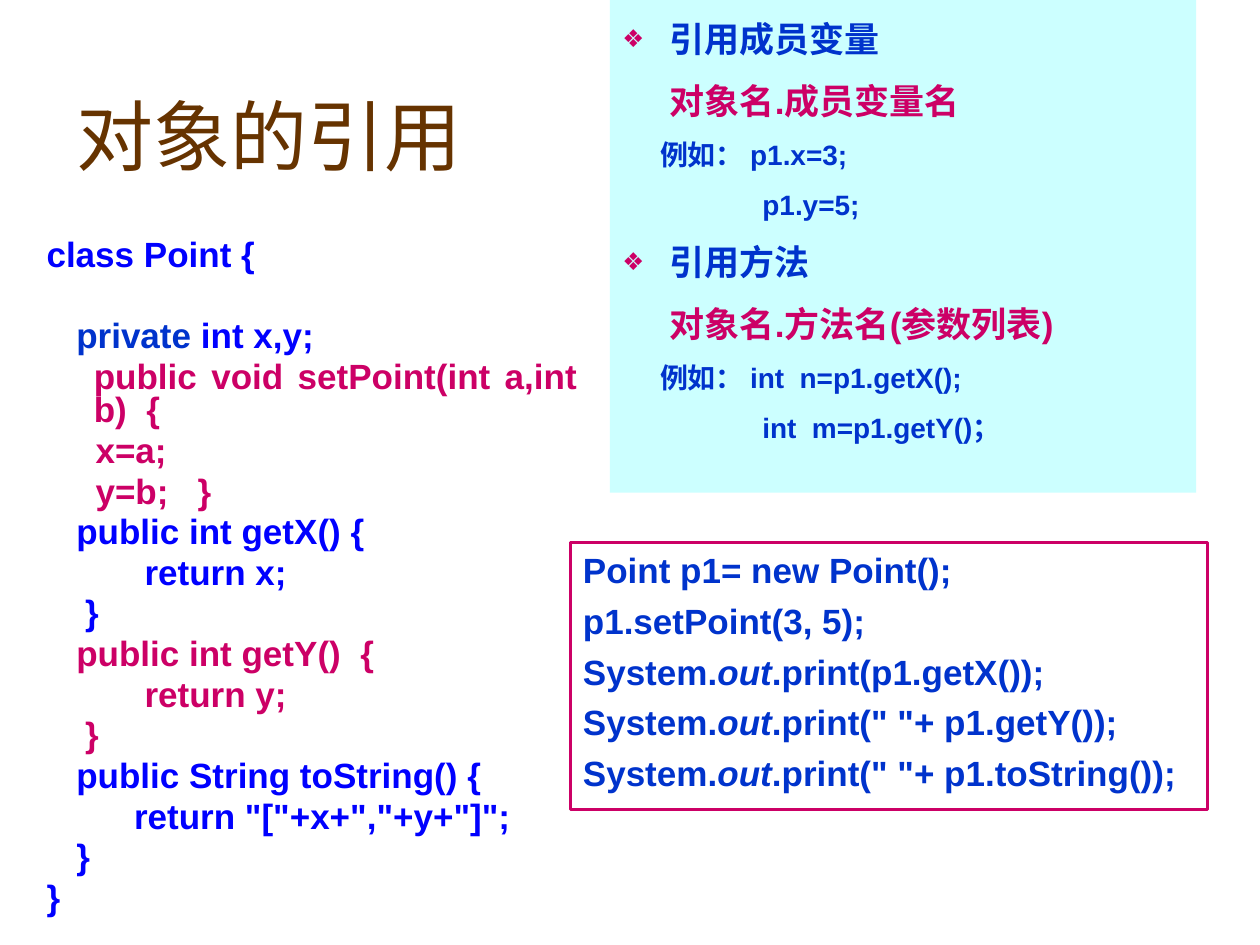
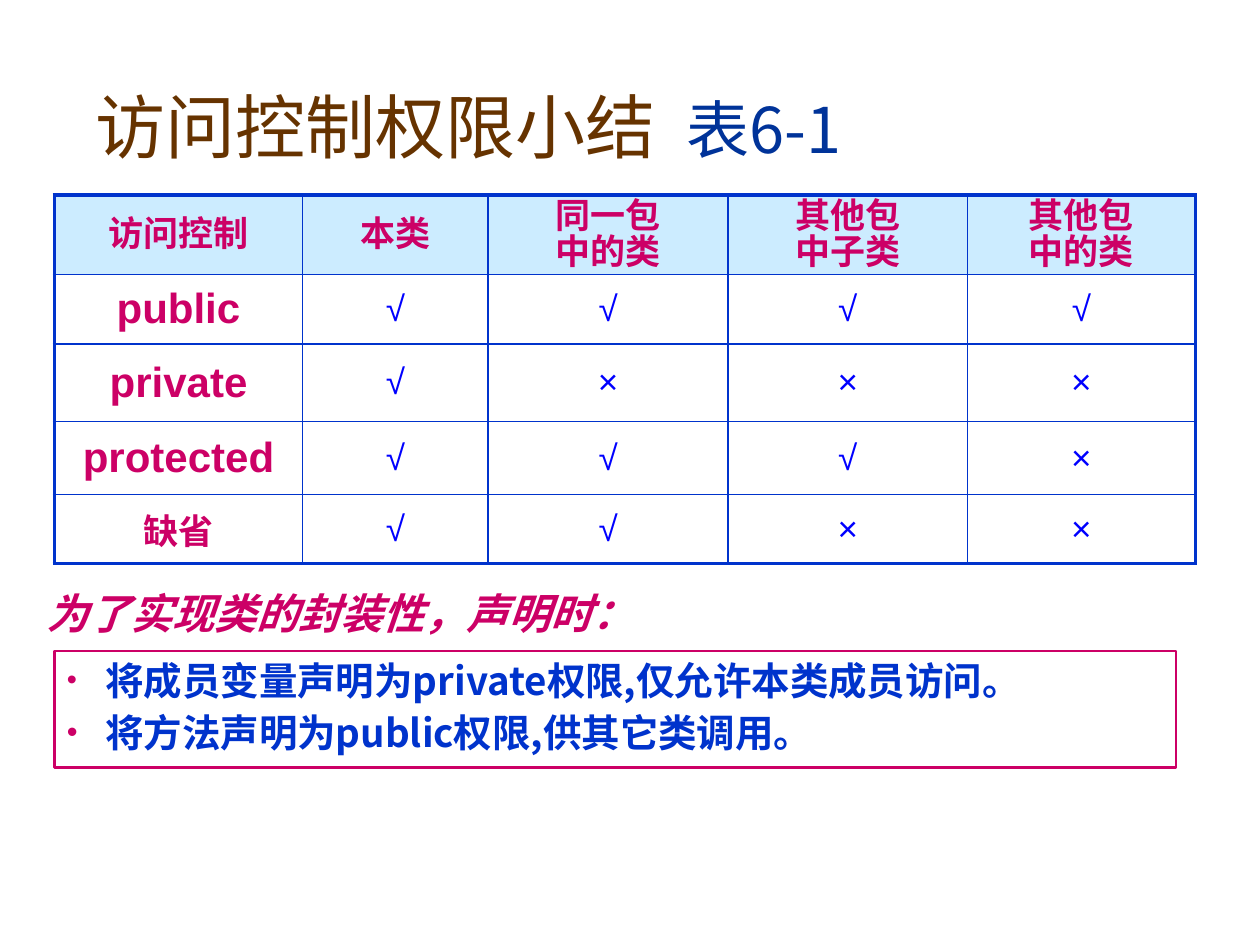
from lxml import etree
from pptx import Presentation
from pptx.dml.color import RGBColor
from pptx.enum import shapes, text
from pptx.oxml import ns
from pptx.util import Pt

# Shared style
LATIN, CHINESE = "Arial", "Noto Sans CJK SC"
BROWN, NAVY, BLUE, CODE_BLUE = "663300", "003399", "0033CC", "0000FF"
CRIMSON, CYAN, PALE_BLUE, WHITE = "CC0066", "CCFFFF", "CCECFF", "FFFFFF"
LEFT, CENTER, JUSTIFY = (text.PP_ALIGN.LEFT, text.PP_ALIGN.CENTER,
                         text.PP_ALIGN.JUSTIFY)


def color(hex_string):
    return RGBColor.from_string(hex_string)


def add_element(parent, tag, **attributes):
    return etree.SubElement(parent, ns.qn(tag), attributes)


class Deck:
    def __init__(self):
        self.presentation = Presentation()
        self.presentation.slide_width = Pt(720)
        self.presentation.slide_height = Pt(540)
        self.slide = None

    def new_slide(self):
        layout = self.presentation.slide_layouts[1]
        self.slide = self.presentation.slides.add_slide(layout)

    def place(self, shape, box):
        shape.left, shape.top, shape.width, shape.height = map(Pt, box)

    def paint(self, shape, fill=None, line=None):
        if fill:
            shape.fill.solid()
            shape.fill.fore_color.rgb = color(fill)
        else:
            shape.fill.background()
        if line:
            shape.line.color.rgb = color(line)
            shape.line.width = Pt(1.5)
        else:
            shape.line.fill.background()

    def frame(self, shape, anchor=text.MSO_ANCHOR.TOP):
        text_frame = shape.text_frame
        text_frame.word_wrap = True
        text_frame.auto_size = text.MSO_AUTO_SIZE.NONE
        text_frame.vertical_anchor = anchor
        return text_frame

    def paragraph(self, text_frame, runs, size, first=False, font=LATIN, bold=True,
                  align=LEFT, spacing=1.0, before=0, indent=0, bullet=None):
        """Runs are (text, colour[, options]); bullet is (character, percent)."""
        paragraph = text_frame.paragraphs[0] if first else text_frame.add_paragraph()
        paragraph.alignment = align
        paragraph.line_spacing = spacing
        paragraph.space_before = Pt(before)
        properties = paragraph._p.get_or_add_pPr()
        properties.set("marL", str(Pt(indent)))
        properties.set("indent", str(Pt(-indent if bullet else 0)))
        if bullet:
            character, percent = bullet
            bullet_color = add_element(properties, "a:buClr")
            add_element(bullet_color, "a:srgbClr", val=CRIMSON)
            add_element(properties, "a:buSzPct", val=str(percent * 1000))
            add_element(properties, "a:buFont", typeface=LATIN)
            add_element(properties, "a:buChar", char=character)
        else:
            add_element(properties, "a:buNone")
        for words, run_color, *options in runs:
            run = paragraph.add_run()
            run.text = words
            run.font.name = font
            run.font.size = Pt(size)
            run.font.bold = bold
            run.font.color.rgb = color(run_color)
            for option in options:
                for name, value in option.items():
                    setattr(run.font, name, value)

    def title(self, box, runs, size, font):
        shape = self.slide.shapes.title
        self.place(shape, box)
        text_frame = self.frame(shape, text.MSO_ANCHOR.MIDDLE)
        self.paragraph(text_frame, runs, size, True, font, bold=False)

    def body(self, box, fill=None, line=None):
        shape = self.slide.placeholders[1]
        self.place(shape, box)
        self.paint(shape, fill, line)
        return self.frame(shape)

    def panel(self, box, fill=None, line=None):
        shape = self.slide.shapes.add_shape(
            shapes.MSO_SHAPE.RECTANGLE, *map(Pt, box))
        shape.shadow.inherit = False
        self.paint(shape, fill, line)
        return self.frame(shape)

    def label(self, box):
        return self.frame(self.slide.shapes.add_textbox(*map(Pt, box)))

    def table(self, box, widths, heights):
        table = self.slide.shapes.add_table(
            len(heights), len(widths), *map(Pt, box)).table
        for column, width in zip(table.columns, widths):
            column.width = Pt(width)
        for row, height in zip(table.rows, heights):
            row.height = Pt(height)
        return table

    def style_cell(self, cell, fill, outer_edges):
        properties = cell._tc.get_or_add_tcPr()
        for edge in "LRTB":
            width = 2.25 if edge in outer_edges else 1
            line = add_element(properties, f"a:ln{edge}", w=str(Pt(width)))
            add_element(add_element(line, "a:solidFill"), "a:srgbClr", val=BLUE)
        cell.fill.solid()
        cell.fill.fore_color.rgb = color(fill)
        cell.vertical_anchor = text.MSO_ANCHOR.MIDDLE


def build_object_reference(deck):
    deck.new_slide()
    deck.title((36.5, 54.5, 266.5, 45), [("对象的引用", BROWN)], 44, LATIN)

    # Member access rules: (text, colour, size, indent, bullet)
    diamond = ("❖", 70)
    rules = [
        ("引用成员变量", BLUE, 20, 27, diamond),
        ("对象名.成员变量名", CRIMSON, 20, 27, None),
        ("例如： p1.x=3;", BLUE, 16, 21.5, None),
        ("p1.y=5;", BLUE, 16, 80, None),
        ("引用方法", BLUE, 20, 27, diamond),
        ("对象名.方法名(参数列表)", CRIMSON, 20, 27, None),
        ("例如： int  n=p1.getX();", BLUE, 16, 21.5, None),
        ("int  m=p1.getY()；", BLUE, 16, 80, None),
    ]
    text_frame = deck.body((348.5, 0, 335, 281.5), fill=CYAN)
    for index, (words, shade, size, indent, bullet) in enumerate(rules):
        deck.paragraph(text_frame, [(words, shade)], size, index == 0,
                       spacing=Pt(1.53 * size), before=0.24 * size,
                       indent=indent, bullet=bullet)

    # Class listing: (runs, indent)
    listing = [
        ([("class Point {", CODE_BLUE)], 0),
        ([("private", BLUE), (" int x,y;", CODE_BLUE)], 17),
        ([("public void setPoint(int a,int b)  {", CRIMSON)], 27),
        ([("x=a;", CRIMSON)], 28),
        ([("y=b;   }", CRIMSON)], 28),
        ([("public int getX() {", CODE_BLUE)], 17),
        ([("return x;", CODE_BLUE)], 56),
        ([("}", CODE_BLUE)], 22),
        ([("public int getY()  {", CRIMSON)], 17),
        ([("return y;", CRIMSON)], 56),
        ([("}", CRIMSON)], 22),
        ([("public String toString() {", CODE_BLUE)], 17),
        ([('return "["+x+","+y+"]";', CODE_BLUE)], 50),
        ([("}", CODE_BLUE)], 17),
        ([("}", CODE_BLUE)], 0),
    ]
    text_frame = deck.panel((19.5, 134, 317.5, 406), fill=WHITE)
    for index, (runs, indent) in enumerate(listing):
        deck.paragraph(text_frame, runs, 20, index == 0, align=JUSTIFY,
                       spacing=0.8, before=27 if index == 1 else 4,
                       indent=indent)

    # Usage example
    statements = [[("Point p1= new Point();", BLUE)], [("p1.setPoint(3, 5);", BLUE)]]
    for argument in ("p1.getX()", '" "+ p1.getY()', '" "+ p1.toString()'):
        statements.append([("System.", BLUE), ("out", BLUE, {"italic": True}),
                           (f".print({argument});", BLUE)])
    text_frame = deck.panel((326, 310, 364, 152.5), line=CRIMSON)
    for index, runs in enumerate(statements):
        deck.paragraph(text_frame, runs, 20, index == 0, before=5)


def build_access_summary(deck):
    deck.new_slide()
    deck.title((47.5, 43, 672.5, 57),
               [("访问控制权限小结  ", BROWN), ("表6-1", NAVY, {"size": Pt(36)})],
               40, CHINESE)

    # Access table
    rows = [
        ["访问控制", "本类", "同一包\n中的类", "其他包\n中子类", "其他包\n中的类"],
        ["public", *"√√√√"],
        ["private", *"√×××"],
        ["protected", *"√√√×"],
        ["缺省", *"√√××"],
    ]
    table = deck.table((31, 111.5, 652, 210.5), [142, 106, 137, 137, 130],
                       [45.5, 39.5, 44.5, 41.5, 39.5])
    last = len(rows) - 1
    for r, row in enumerate(rows):
        for c, words in enumerate(row):
            cell = table.cell(r, c)
            edges = [edge for edge, outer in
                     zip("LRTB", (c == 0, c == last, r == 0, r == last)) if outer]
            deck.style_cell(cell, PALE_BLUE if r == 0 else WHITE, edges)
            if r == 0:  # keeps the tight header lines below the top border
                cell.margin_top, cell.margin_bottom = Pt(8.5), Pt(0)
            heading = r == 0 or c == 0
            size = 24 if words.isascii() else 20
            for index, line in enumerate(words.split("\n")):
                deck.paragraph(cell.text_frame,
                               [(line, CRIMSON if heading else CODE_BLUE)], size,
                               index == 0, bold=heading, align=CENTER,
                               spacing=Pt(16) if r == 0 else 1.0, before=4.8)

    # Advice
    advice = [("将成员变量声明为private权限,仅允许本类成员访问。", 26, 75),
              ("将方法声明为public权限,供其它类调用。", 22, 80)]
    text_frame = deck.body((31, 372, 641, 66.5), line=CRIMSON)
    for index, (words, spacing, percent) in enumerate(advice):
        deck.paragraph(text_frame, [(words, BLUE)], 22, index == 0, CHINESE,
                       spacing=Pt(spacing), before=8 * index, indent=22,
                       bullet=("•", percent))
    deck.paragraph(deck.label((19.5, 332, 516, 36)),
                   [("为了实现类的封装性，声明时：", CRIMSON, {"italic": True})],
                   24, True, CHINESE)


def main():
    deck = Deck()
    build_object_reference(deck)
    build_access_summary(deck)
    deck.presentation.save("out.pptx")


if __name__ == "__main__":
    main()
